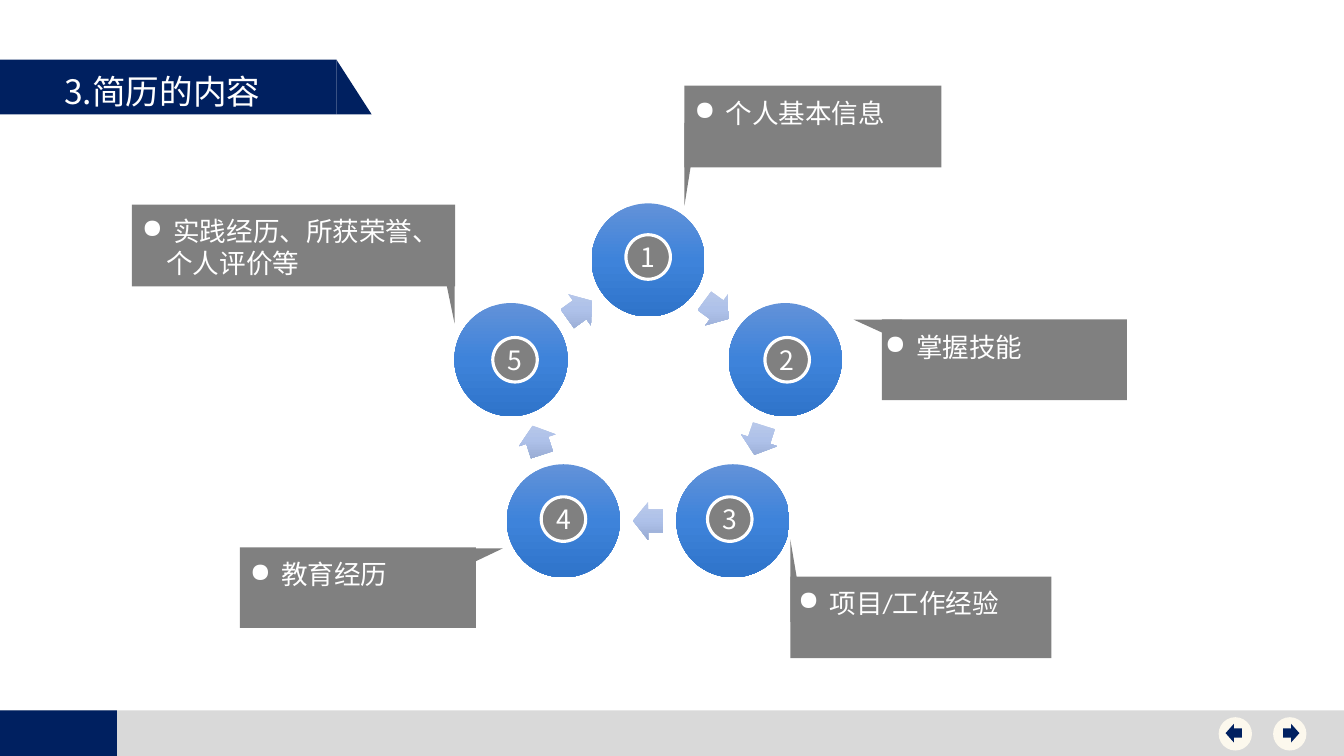
import math
from dataclasses import dataclass

from lxml import etree
from pptx import Presentation
from pptx.dml.color import RGBColor
from pptx.enum.shapes import MSO_SHAPE
from pptx.enum.text import MSO_ANCHOR, PP_ALIGN
from pptx.oxml import parse_xml
from pptx.oxml.ns import nsdecls, qn
from pptx.util import Pt

RECTANGLE = MSO_SHAPE.RECTANGLE
RIGHT_TRIANGLE = MSO_SHAPE.RIGHT_TRIANGLE
TRIANGLE = MSO_SHAPE.ISOSCELES_TRIANGLE
OVAL = MSO_SHAPE.OVAL
RIGHT_ARROW = MSO_SHAPE.RIGHT_ARROW
MIDDLE = MSO_ANCHOR.MIDDLE
CENTER = PP_ALIGN.CENTER

COLORS = {
    "navy": "002060",
    "footer": "D9D9D9",
    "cream": "FCF8ED",
    "gray": "808080",
    "white": "FFFFFF",
}
NODE_GRADIENT = ("6292D9", "3E83DA", "2F74CA")
ARROW_GRADIENT = ("BBCAEA", "AEC1E9", "97AAD2")
CJK_FONT = "Noto Sans CJK SC"
BODY_SIZE = 19
BULLET_INDENT = 22.5
CONTINUATION_INDENT = 17.5

# Cycle geometry, in points
CENTER_X, CENTER_Y, RADIUS = 463, 288.7, 103
NODE_SIZE, BADGE_SIZE = 80.8, 31.8
ARROW_WIDTH, ARROW_HEIGHT = 21.8, 27.4
BADGE_CENTERS = [(463, 183.6), (562.3, 257), (521.3, 370.8), (402.5, 370.8), (367.9, 257)]


@dataclass
class Box:
    left: float
    top: float
    width: float
    height: float

    def lengths(self) -> tuple:
        return Pt(self.left), Pt(self.top), Pt(self.width), Pt(self.height)


@dataclass
class Callout:
    lines: list[str]
    panel: Box
    tail: Box
    text: Box
    rotation: int
    flip: str = ""
    font: str = CJK_FONT


CALLOUTS = [
    Callout(["项目/工作经验"], Box(564.5, 411.8, 186.5, 58.3), Box(564.5, 385.2, 10, 59),
            Box(563, 415.4, 188, 30.2), 180, "V", "Calibri"),
    Callout(["教育经历"], Box(171.4, 391, 168.5, 57.6), Box(334.8, 383, 15.8, 33.1),
            Box(171.4, 395.3, 173.5, 30.2), 90, "H"),
    Callout(["个人基本信息"], Box(488.9, 61.2, 183.6, 58.3), Box(488.9, 87.8, 9.4, 59),
            Box(488.9, 65.5, 172, 53.3), 180),
    Callout(["实践经历、所获荣誉、", "个人评价等"], Box(94.3, 146.2, 230.8, 58.3),
            Box(312.5, 172, 12.2, 59), Box(94.3, 149.8, 229.7, 53.3), 180, "H"),
    Callout(["掌握技能"], Box(630, 228.2, 175, 57.6), Box(619.2, 218.9, 15.8, 34.6),
            Box(625, 232.6, 180, 30.2), 270),
]


def centered(x: float, y: float, width: float, height: float) -> Box:
    return Box(x - width / 2, y - height / 2, width, height)


def on_cycle(degrees: float, radius: float) -> tuple[float, float]:
    """Point at a clockwise angle from the top of the cycle."""
    angle = math.radians(degrees)
    return CENTER_X + radius * math.sin(angle), CENTER_Y - radius * math.cos(angle)


def add_shape(slide, kind, box: Box, color: str = "gray", rotation: float = 0, flip: str = ""):
    shape = slide.shapes.add_shape(kind, *box.lengths())
    shape.shadow.inherit = False
    shape.fill.solid()
    shape.fill.fore_color.rgb = RGBColor.from_string(COLORS[color])
    shape.line.fill.background()
    shape.rotation = rotation
    if flip:
        shape._element.spPr.xfrm.set(f"flip{flip}", "1")
    return shape


def set_gradient(shape, stops: tuple[str, ...]) -> None:
    shape.fill.gradient()
    properties = shape._element.spPr
    stop_xml = "".join(
        f'<a:gs pos="{index * 50000}"><a:srgbClr val="{color}"/></a:gs>'
        for index, color in enumerate(stops)
    )
    gradient = parse_xml(
        f'<a:gradFill {nsdecls("a")} rotWithShape="0"><a:gsLst>{stop_xml}</a:gsLst>'
        '<a:lin ang="5400000" scaled="0"/></a:gradFill>'
    )
    properties.replace(properties.find(qn("a:gradFill")), gradient)


def write(paragraph, text: str, size: float, font: str = CJK_FONT) -> None:
    paragraph.text = text
    paragraph.font.size = Pt(size)
    paragraph.font.name = font
    paragraph.font.color.rgb = RGBColor.from_string(COLORS["white"])
    defaults = paragraph._p.pPr.find(qn("a:defRPr"))
    etree.SubElement(defaults, qn("a:ea")).set("typeface", CJK_FONT)


def add_text_frame(slide, box: Box):
    frame = slide.shapes.add_textbox(*box.lengths()).text_frame
    frame.word_wrap = True
    return frame


def add_callout(slide, callout: Callout) -> None:
    add_shape(slide, RECTANGLE, callout.panel)
    tail = add_shape(slide, TRIANGLE, callout.tail, rotation=callout.rotation, flip=callout.flip)
    tail.adjustments[0] = 1
    frame = add_text_frame(slide, callout.text)
    for index, line in enumerate(callout.lines):
        paragraph = frame.add_paragraph() if index else frame.paragraphs[0]
        write(paragraph, line, BODY_SIZE, callout.font)
        properties = paragraph._p.pPr
        if index:
            properties.set("marL", str(Pt(CONTINUATION_INDENT)))
        else:
            properties.set("marL", str(Pt(BULLET_INDENT)))
            properties.set("indent", str(-Pt(BULLET_INDENT)))
            properties.insert(0, parse_xml(f'<a:buChar {nsdecls("a")} char="●"/>'))


def add_badge(slide, number: int, x: float, y: float) -> None:
    badge = add_shape(slide, OVAL, centered(x, y, BADGE_SIZE, BADGE_SIZE))
    badge.line.color.rgb = RGBColor.from_string(COLORS["white"])
    badge.line.width = Pt(2.25)
    frame = badge.text_frame
    frame.margin_left = frame.margin_right = frame.margin_top = frame.margin_bottom = 0
    frame.word_wrap = False
    frame.vertical_anchor = MIDDLE
    write(frame.paragraphs[0], str(number), BODY_SIZE)
    frame.paragraphs[0].alignment = CENTER


def add_cycle(slide) -> None:
    step = 360 / len(BADGE_CENTERS)
    arrow_radius = RADIUS * math.cos(math.radians(step / 2))
    for index in range(len(BADGE_CENTERS)):
        node_box = centered(*on_cycle(index * step, RADIUS), NODE_SIZE, NODE_SIZE)
        set_gradient(add_shape(slide, OVAL, node_box), NODE_GRADIENT)
        angle = (index + 0.5) * step
        arrow_box = centered(*on_cycle(angle, arrow_radius), ARROW_WIDTH, ARROW_HEIGHT)
        arrow = add_shape(slide, RIGHT_ARROW, arrow_box, rotation=angle)
        arrow.adjustments[0] = 0.6
        set_gradient(arrow, ARROW_GRADIENT)
    for number, (x, y) in enumerate(BADGE_CENTERS, start=1):
        add_badge(slide, number, x, y)


def main() -> None:
    presentation = Presentation()
    presentation.slide_width, presentation.slide_height = Pt(960), Pt(540)
    slide = presentation.slides.add_slide(presentation.slide_layouts[6])

    # Footer bar
    add_shape(slide, RECTANGLE, Box(0, 507.4, 960, 32.6), "footer")
    add_shape(slide, RECTANGLE, Box(0, 507.4, 83.5, 32.6), "navy")

    # Title banner
    add_shape(slide, RECTANGLE, Box(0, 42.7, 240.4, 39), "navy")
    add_shape(slide, RIGHT_TRIANGLE, Box(240.5, 42.9, 25, 38.8), "navy")
    title = add_text_frame(slide, Box(38.9, 46.8, 226.8, 36.7))
    write(title.paragraphs[0], "3.简历的内容", 24)

    # Navigation buttons
    for x, arrow_x, flip in ((921.3, 922.3, ""), (882.4, 881.3, "H")):
        add_shape(slide, OVAL, centered(x, 524.2, 23.8, 23.8), "cream")
        add_shape(slide, RIGHT_ARROW, centered(arrow_x, 523.7, 11.7, 13.2), "navy", flip=flip)

    # Cycle and its callouts
    add_cycle(slide)
    for callout in CALLOUTS:
        add_callout(slide, callout)

    presentation.save("out.pptx")


if __name__ == "__main__":
    main()
